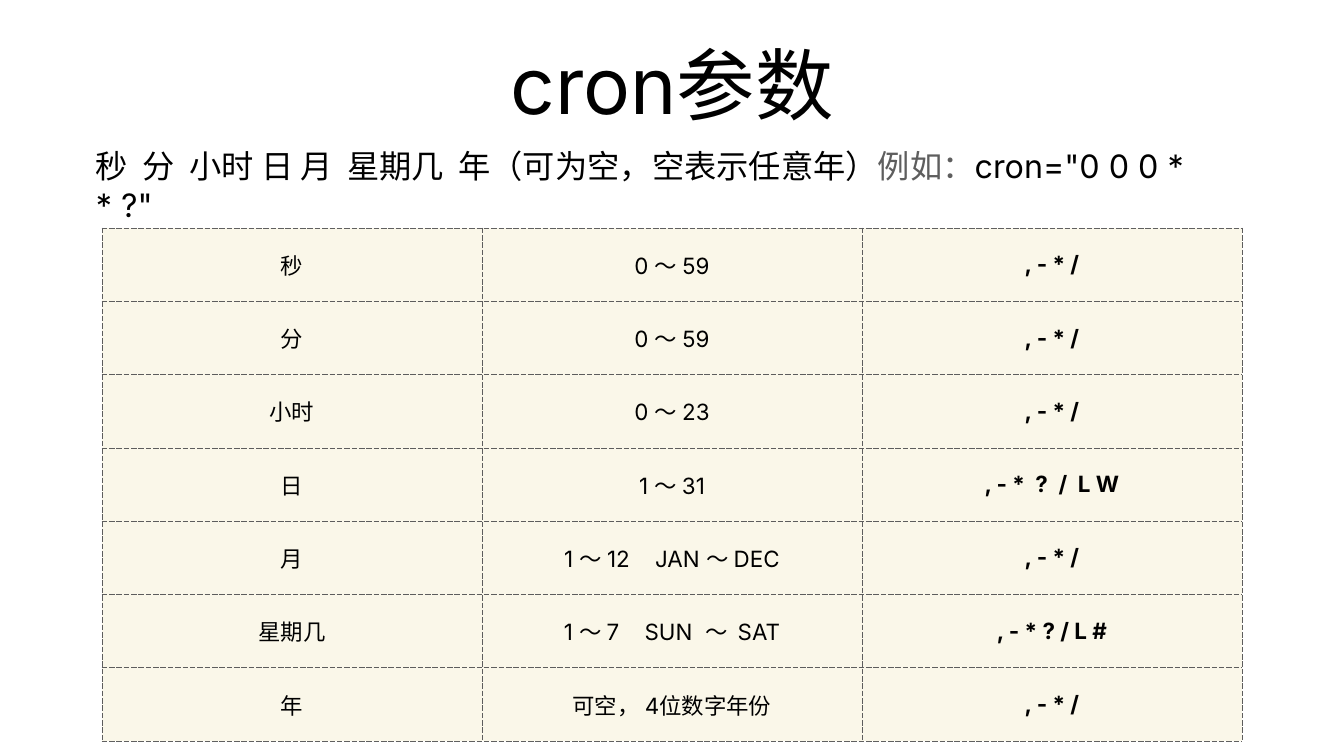
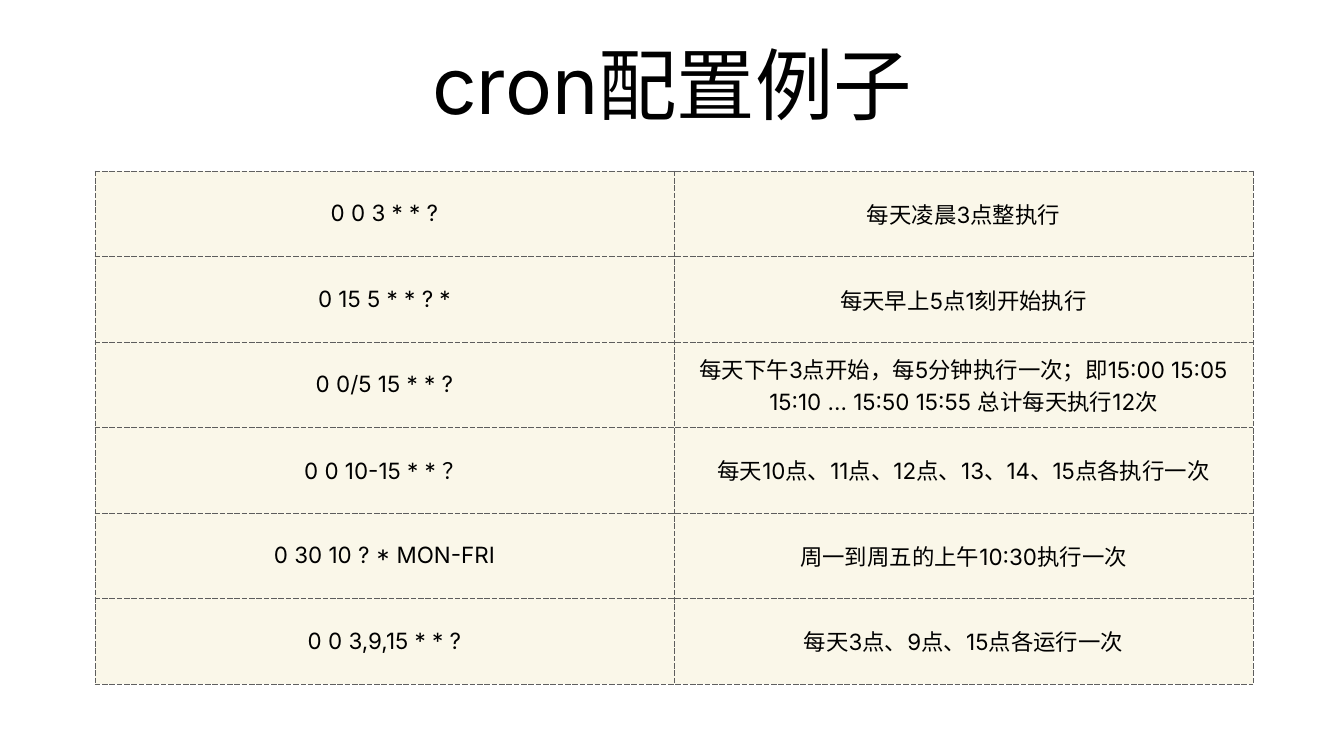
from lxml import etree
from pptx import Presentation
from pptx.dml.color import RGBColor
from pptx.enum.text import MSO_ANCHOR, PP_ALIGN
from pptx.oxml.ns import qn
from pptx.util import Pt

CENTER, LEFT = PP_ALIGN.CENTER, PP_ALIGN.LEFT
MIDDLE = MSO_ANCHOR.MIDDLE
PX = 914400 / 50.4
INSET = 3
FONT = "Inter"
BLACK, GREY, CREAM = "000000", "5E5E5E", "FAF7E9"
EDGE, RULE = "606060", "5D5D5D"

COMMON = ", - * /"
FIELDS = [
    ("秒", "0 ～ 59", COMMON),
    ("分", "0 ～ 59", COMMON),
    ("小时", "0 ～ 23", COMMON),
    ("日", "1 ～ 31", ", - *  ?  /  L W"),
    ("月", "1 ～ 12    JAN ～ DEC", COMMON),
    ("星期几", "1 ～ 7    SUN  ～  SAT", ", - * ? / L #"),
    ("年", "可空， 4位数字年份", COMMON),
]
SAMPLES = [
    ("0 0 3 * * ?", "每天凌晨3点整执行"),
    ("0 15 5 * * ? *", "每天早上5点1刻开始执行"),
    ("0 0/5 15 * * ?",
     "每天下午3点开始，每5分钟执行一次；即15:00 15:05 15:10 ... 15:50 15:55 总计每天执行12次"),
    ("0 0 10-15 * * ？", "每天10点、11点、12点、13、14、15点各执行一次"),
    ("0 30 10 ? * MON-FRI", "周一到周五的上午10:30执行一次"),
    ("0 0 3,9,15 * * ?", "每天3点、9点、15点各运行一次"),
]
SYNTAX = [
    ("秒  分  小时 日 月  星期几  年（可为空，空表示任意年）", BLACK),
    ("例如：", GREY),
    ('cron="0 0 0 * * ?"', BLACK),
]

# title, syntax line, table box, rows, bold column
PAGES = [
    ("cron参数", SYNTAX, (102, 228, 1140, 513), FIELDS, 2),
    ("cron配置例子", None, (95, 171, 1158, 513), SAMPLES, None),
]


def rgb(code):
    return RGBColor.from_string(code)


def write(host, frame, runs, size, align, bold=False):
    """Fill a cell or text frame; host carries the margins."""
    host.margin_left = host.margin_right = round(INSET * PX)
    host.margin_top = host.margin_bottom = round(INSET * PX)
    host.vertical_anchor = MIDDLE
    frame.word_wrap = True
    para = frame.paragraphs[0]
    para.alignment = align
    para.font.size, para.font.name, para.font.bold = Pt(size), FONT, bold
    for text, color in runs:
        run = para.add_run()
        run.text = text
        run.font.color.rgb = rgb(color)


deck = Presentation()
deck.slide_width, deck.slide_height = round(1344 * PX), round(756 * PX)

for title, syntax, area, rows, strong in PAGES:
    slide = deck.slides.add_slide(deck.slide_layouts[6])

    # Title and syntax line
    lines = [((93, 20, 1158, 126), [(title, BLACK)], 112, CENTER)]
    if syntax:
        lines.append(((93, 142, 1158, 86), syntax, 46.1, LEFT))
    for box, runs, size, align in lines:
        frame = slide.shapes.add_textbox(*[round(v * PX) for v in box]).text_frame
        write(frame, frame, runs, size, align)

    # Table
    table = slide.shapes.add_table(
        len(rows), len(rows[0]), *[round(v * PX) for v in area]).table
    table.first_row = table.horz_banding = False
    for r, row in enumerate(rows):
        for c, text in enumerate(row):
            cell = table.cell(r, c)
            write(cell, cell.text_frame, [(text, BLACK)], 32, CENTER, c == strong)

            # Dashed borders, then fill
            props = cell._tc.get_or_add_tcPr()
            for side in "LRTB":
                outer = (side, r) in (("T", 0), ("B", len(rows) - 1))
                line = etree.SubElement(props, qn("a:ln" + side), w=str(Pt(1)))
                paint = etree.SubElement(line, qn("a:solidFill"))
                etree.SubElement(paint, qn("a:srgbClr"), val=EDGE if outer else RULE)
                etree.SubElement(line, qn("a:prstDash"), val="sysDash")
            cell.fill.solid()
            cell.fill.fore_color.rgb = rgb(CREAM)

deck.save("out.pptx")
